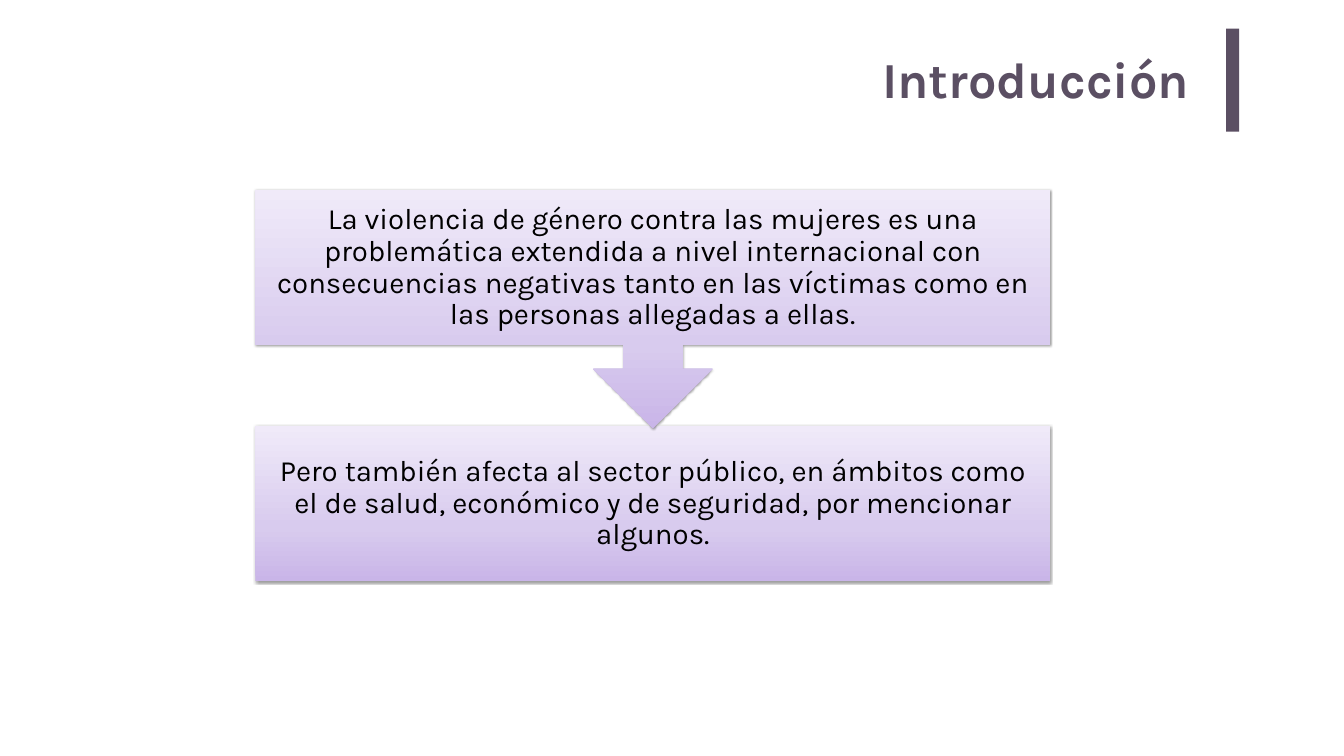
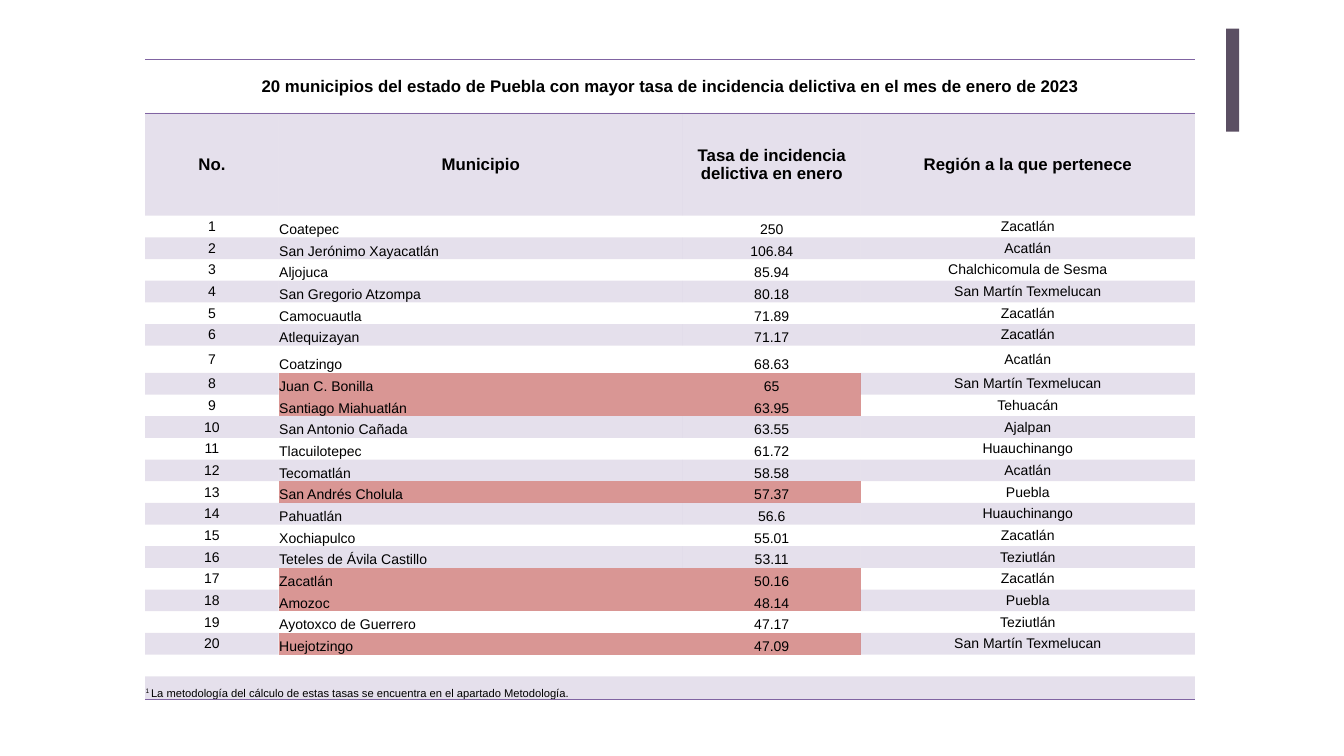
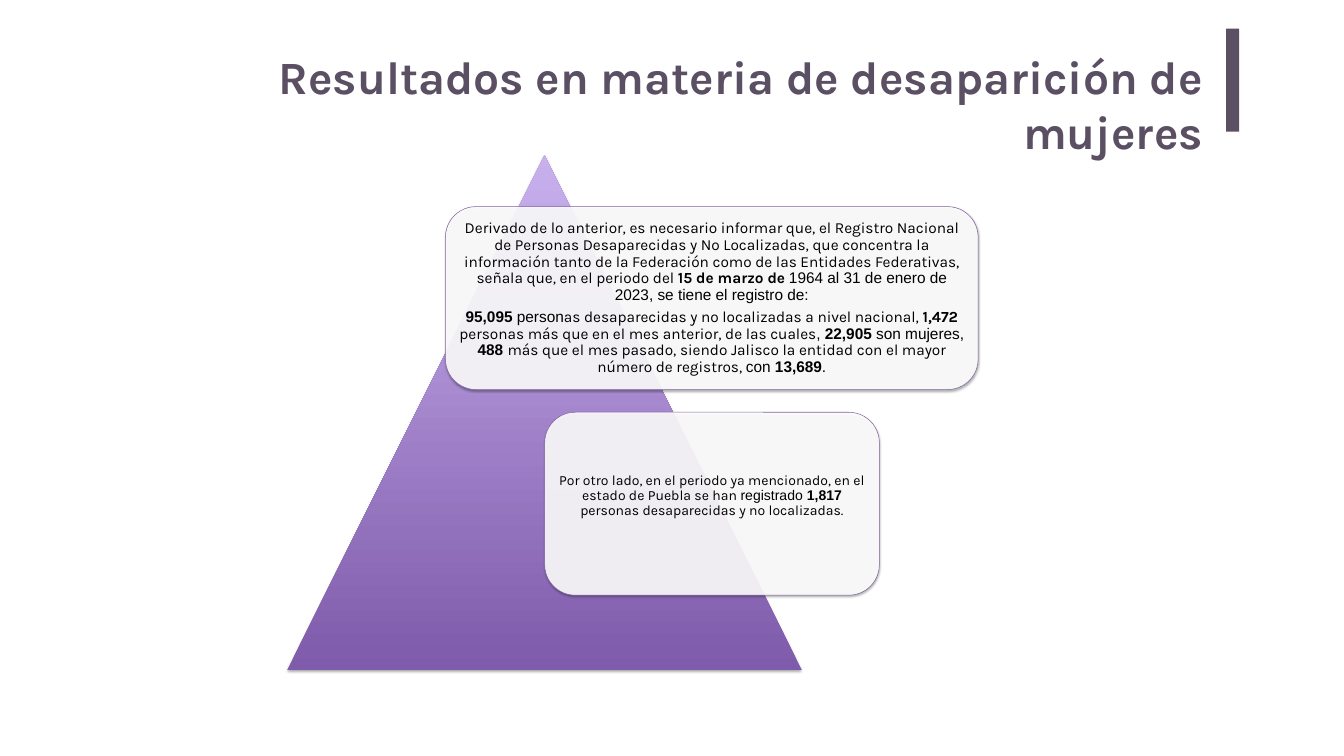
"""Build three slides on gender violence: introduction, municipal ranking and disappearances."""

from dataclasses import dataclass
from typing import Optional, Sequence

from lxml.etree import SubElement
from pptx import Presentation
from pptx.dml.color import RGBColor as Rgb
from pptx.enum.shapes import MSO_SHAPE as Preset
from pptx.enum.text import MSO_ANCHOR as Anchor, PP_ALIGN as Align
from pptx.oxml.ns import qn
from pptx.util import Inches, Pt

COLORS = {
    "plum": "5B4F63", "purple": "8064A2", "rose": "D99694", "white": "FFFFFF", "black": "000000",
    "lilac": "C9B5E8", "lavender": "D8CBEE", "mist": "F0EAF9", "violet": "7F5BAB", "orchid": "C8B0ED",
}
FLOW_STOPS = ((0, "lilac"), (35, "lavender"), (100, "mist"))
PYRAMID_STOPS = ((0, "violet"), (100, "orchid"))
PLAIN_TABLE = "{2D5ABB26-0587-4C30-8999-92F81FD0307C}"


@dataclass(frozen=True)
class Frame:
    left: float
    top: float
    width: float
    height: float

    def lengths(self) -> tuple:
        return tuple(Inches(v) for v in (self.left, self.top, self.width, self.height))


@dataclass(frozen=True)
class Span:
    text: str
    font: str = "Karla"
    bold: bool = False
    raised: bool = False


@dataclass(frozen=True)
class Style:
    size: float
    align: Align = Align.CENTER
    anchor: Anchor = Anchor.MIDDLE
    color: str = "black"
    spacing: Optional[float] = None


@dataclass(frozen=True)
class Card:
    frame: Frame
    size: float
    inset: float
    bottom: float
    paragraphs: tuple


@dataclass(frozen=True)
class Town:
    name: str
    rate: str
    region: str
    marked: bool = False


TITLE = Style(72, Align.RIGHT, Anchor.TOP, "plum")
ACCENT = Frame(24.33, 0.57, 0.26, 2.04)
FLOW_STYLE = Style(42, spacing=0.9)
FLOW_LEFT, FLOW_WIDTH, FLOW_HEIGHT = 5.07, 15.77, 3.08
FLOW_TOPS = (3.77, 8.45)
FLOW_TEXTS = (
    "La violencia de género contra las mujeres es una problemática extendida a nivel internacional "
    "con consecuencias negativas tanto en las víctimas como en las personas allegadas a ellas.",
    "Pero también afecta al sector público, en ámbitos como el de salud, económico y de seguridad, "
    "por mencionar algunos.",
)

COLUMNS = (2.65, 8.02, 3.53, 6.63)
HEADINGS = ("No.", "Municipio", "Tasa de incidencia delictiva en enero", "Región a la que pertenece")
TABLE_TITLE = "20 municipios del estado de Puebla con mayor tasa de incidencia delictiva en el mes de enero de 2023"
TOWNS = (
    Town("Coatepec", "250", "Zacatlán"),
    Town("San Jerónimo Xayacatlán", "106.84", "Acatlán"),
    Town("Aljojuca", "85.94", "Chalchicomula de Sesma"),
    Town("San Gregorio Atzompa", "80.18", "San Martín Texmelucan"),
    Town("Camocuautla", "71.89", "Zacatlán"),
    Town("Atlequizayan", "71.17", "Zacatlán"),
    Town("Coatzingo", "68.63", "Acatlán"),
    Town("Juan C. Bonilla", "65", "San Martín Texmelucan", True),
    Town("Santiago Miahuatlán", "63.95", "Tehuacán", True),
    Town("San Antonio Cañada", "63.55", "Ajalpan"),
    Town("Tlacuilotepec", "61.72", "Huauchinango"),
    Town("Tecomatlán", "58.58", "Acatlán"),
    Town("San Andrés Cholula", "57.37", "Puebla", True),
    Town("Pahuatlán", "56.6", "Huauchinango"),
    Town("Xochiapulco", "55.01", "Zacatlán"),
    Town("Teteles de Ávila Castillo", "53.11", "Teziutlán"),
    Town("Zacatlán", "50.16", "Zacatlán", True),
    Town("Amozoc", "48.14", "Puebla", True),
    Town("Ayotoxco de Guerrero", "47.17", "Teziutlán"),
    Town("Huejotzingo", "47.09", "San Martín Texmelucan", True),
)
FOOTNOTE = (
    Span("1 ", "Arial", raised=True),
    Span("La metodología del cálculo de estas tasas se encuentra en el apartado Metodología.", "Arial"),
)

CARDS = (
    Card(Frame(8.84, 4.1, 10.57, 3.63), 22, 0.09, 0.09, (
        (
            Span("Derivado de lo anterior, es necesario informar que, el Registro Nacional de Personas "
                 "Desaparecidas y No Localizadas, que concentra la información tanto de la Federación como "
                 "de las Entidades Federativas, señala que, en el periodo del "),
            Span("15 de marzo de ", bold=True),
            Span("1964 al 31 de enero de 2023, se tiene el registro de:", "Arial"),
        ),
        (
            Span("95,095", "Arial", True),
            Span(" person", "Arial"),
            Span("as desaparecidas y no localizadas a nivel nacional, "),
            Span("1,472", bold=True),
            Span(" personas más que en el mes anterior, de las cuales"),
            Span(", ", "Arial"),
            Span("22,905", "Arial", True),
            Span(" son mujeres, ", "Arial"),
            Span("488 ", "Arial", True),
            Span("más que el mes pasado, siendo Jalisco la entidad con el mayor número de registros, "),
            Span("con ", "Arial"),
            Span("13,689", "Arial", True),
            Span(".", "Arial"),
        ),
    )),
    Card(Frame(10.81, 8.18, 6.64, 3.63), 20, 0.08, 0.4, (
        (
            Span("Por otro lado, en el periodo ya mencionado, en el estado de Puebla se han "),
            Span("registrado ", "Arial"),
            Span("1,817 ", "Arial", True),
            Span("personas desaparecidas y no localizadas."),
        ),
    )),
)


def rgb(name: str) -> Rgb:
    return Rgb.from_string(COLORS[name])


def add_color(parent, name: str, alpha: Optional[int] = None) -> None:
    color = SubElement(parent, qn("a:srgbClr"), val=COLORS[name])
    if alpha is not None:
        SubElement(color, qn("a:alpha"), val=str(alpha * 1000))


def fill_solid(fill, element, name: str, alpha: Optional[int] = None) -> None:
    fill.solid()
    fill.fore_color.rgb = rgb(name)
    if alpha is not None:
        color = next(element.iter(qn("a:srgbClr")))
        SubElement(color, qn("a:alpha"), val=str(alpha * 1000))


def write(text_frame, paragraphs: Sequence[Sequence[Span]], style: Style) -> None:
    text_frame.word_wrap = True
    text_frame.vertical_anchor = style.anchor
    for index, spans in enumerate(paragraphs):
        para = text_frame.add_paragraph() if index else text_frame.paragraphs[0]
        para.alignment = style.align
        if style.spacing:
            para.line_spacing = style.spacing
            para.space_after = Pt(round(style.size * 0.35, 1))
        for span in spans:
            run = para.add_run()
            run.text = span.text
            run.font.name = span.font
            run.font.size = Pt(style.size)
            run.font.bold = span.bold
            run.font.color.rgb = rgb(style.color)
            if span.raised:
                run.font._element.set("baseline", "30000")


def add_text(page, frame: Frame, paragraphs, style: Style, side: float, top: float, bottom: float) -> None:
    box = page.shapes.add_textbox(*frame.lengths())
    text_frame = box.text_frame
    text_frame.margin_left = text_frame.margin_right = Inches(side)
    text_frame.margin_top, text_frame.margin_bottom = Inches(top), Inches(bottom)
    write(text_frame, paragraphs, style)


def add_figure(page, preset: Preset, frame: Frame):
    shape = page.shapes.add_shape(preset, *frame.lengths())
    shape.shadow.inherit = False
    shape.line.fill.background()
    return shape


def add_gradient(shape, stops: Sequence[tuple]) -> None:
    gradient = shape.element.spPr.makeelement(qn("a:gradFill"), {"rotWithShape": "0"})
    stop_list = SubElement(gradient, qn("a:gsLst"))
    for position, name in stops:
        add_color(SubElement(stop_list, qn("a:gs"), pos=str(position * 1000)), name)
    SubElement(gradient, qn("a:lin"), ang="16200000", scaled="0")
    shape.element.spPr.find(qn("a:prstGeom")).addnext(gradient)


def add_shadow(shape, alpha: int, distance: float) -> None:
    effects = shape.element.spPr.find(qn("a:effectLst"))
    shadow = SubElement(effects, qn("a:outerShdw"), blurRad=str(Pt(3.1)), dist=str(Pt(distance)),
                        dir="5400000", rotWithShape="0")
    add_color(shadow, "black", alpha)


def add_page(deck):
    page = deck.slides.add_slide(deck.slide_layouts[6])
    accent = add_figure(page, Preset.RECTANGLE, ACCENT)
    fill_solid(accent.fill, accent.element.spPr, "plum")
    return page


def add_title(page, frame: Frame, text: str, size: float) -> None:
    style = Style(size, TITLE.align, TITLE.anchor, TITLE.color)
    add_text(page, frame, [[Span(text, bold=True)]], style, 0.2, 0.1, 0.1)


def add_introduction(deck) -> None:
    page = add_page(deck)
    add_title(page, Frame(15.53, 0.86, 8.27, 1.46), "Introducción", 72)
    last = add_figure(page, Preset.RECTANGLE, Frame(FLOW_LEFT, FLOW_TOPS[1], FLOW_WIDTH, FLOW_HEIGHT))
    first = add_figure(page, Preset.UP_ARROW_CALLOUT, Frame(FLOW_LEFT, FLOW_TOPS[0], FLOW_WIDTH, 4.73))
    first.rotation = 180
    for shape in (last, first):
        add_gradient(shape, FLOW_STOPS)
        add_shadow(shape, 38, 1.6)
    for top, text in zip(FLOW_TOPS, FLOW_TEXTS):
        frame = Frame(FLOW_LEFT, top, FLOW_WIDTH, FLOW_HEIGHT)
        add_text(page, frame, [[Span(text)]], FLOW_STYLE, 0.33, 0.33, 0.33)


def fill_cell(cell, spans: Sequence[Span], style: Style, fill: Optional[str] = None) -> None:
    cell.margin_left = cell.margin_right = cell.margin_top = Inches(0.01)
    cell.margin_bottom = 0
    if fill:
        fill_solid(cell.fill, cell._tc.tcPr, fill, 20 if fill == "purple" else None)
    else:
        cell.fill.background()
    if spans:
        write(cell.text_frame, [spans], style)
        cell.vertical_anchor = style.anchor


def rule_row(table, row: int, sides: Sequence[str]) -> None:
    for column in range(len(COLUMNS)):
        properties = table.cell(row, column)._tc.get_or_add_tcPr()
        for index, side in enumerate(sides):
            line = properties.makeelement(qn(f"a:{side}"), {"w": str(Pt(1))})
            add_color(SubElement(line, qn("a:solidFill")), "purple")
            properties.insert(index, line)


def add_ranking(deck) -> None:
    page = add_page(deck)
    heights = [1.07, 2.04] + [0.54 if town.name == "Coatzingo" else 0.43 for town in TOWNS] + [0.43, 0.46]
    frame = Frame(2.88, 1.17, sum(COLUMNS), sum(heights))
    holder = page.shapes.add_table(len(heights), len(COLUMNS), *frame.lengths())
    next(holder.element.iter(qn("a:tableStyleId"))).text = PLAIN_TABLE
    table = holder.table
    table.first_row = table.horz_banding = False
    for column, width in zip(table.columns, COLUMNS):
        column.width = Inches(width)
    for row, height in zip(table.rows, heights):
        row.height = Inches(height)

    heading, middle = Style(24), Style(20)
    bottom = Style(20, anchor=Anchor.BOTTOM)
    name_style = Style(20, Align.LEFT, Anchor.BOTTOM)
    blank_row, note_row = len(heights) - 2, len(heights) - 1
    for row in (0, note_row):
        table.cell(row, 0).merge(table.cell(row, len(COLUMNS) - 1))
    fill_cell(table.cell(0, 0), [Span(TABLE_TITLE, "Arial", True)], heading)
    for column, text in enumerate(HEADINGS):
        fill_cell(table.cell(1, column), [Span(text, "Arial", True)], heading, "purple")
        fill_cell(table.cell(blank_row, column), [], middle, "white" if column in (1, 2) else None)
    for number, town in enumerate(TOWNS, 1):
        band = None if number % 2 else "purple"
        mark = "rose" if town.marked else band
        values = (str(number), town.name, town.rate, town.region)
        styles = (middle, name_style, bottom, middle)
        for column, (text, style, fill) in enumerate(zip(values, styles, (band, mark, mark, band))):
            fill_cell(table.cell(number + 1, column), [Span(text, "Arial")], style, fill)
    fill_cell(table.cell(note_row, 0), FOOTNOTE, Style(16, Align.LEFT, Anchor.BOTTOM), "purple")
    rule_row(table, 0, ("lnT", "lnB"))
    rule_row(table, note_row, ("lnB",))


def add_card(page, card: Card) -> None:
    shape = add_figure(page, Preset.ROUNDED_RECTANGLE, card.frame)
    fill_solid(shape.fill, shape.element.spPr, "white", 90)
    shape.line.color.rgb = rgb("purple")
    shape.line.width = Pt(0.75)
    add_shadow(shape, 35, 1.8)
    outer, pad = card.frame, 0.18
    inner = Frame(outer.left + pad, outer.top + pad, outer.width - 2 * pad, outer.height - 2 * pad)
    add_text(page, inner, card.paragraphs, Style(card.size, spacing=0.9), card.inset, card.inset, card.bottom)


def add_results(deck) -> None:
    page = add_page(deck)
    pyramid = add_figure(page, Preset.ISOSCELES_TRIANGLE, Frame(5.7, 3.08, 10.21, 10.21))
    add_gradient(pyramid, PYRAMID_STOPS)
    add_shadow(pyramid, 35, 1.8)
    for card in CARDS:
        add_card(page, card)
    add_title(page, Frame(2.59, 0.86, 21.48, 2.04), "Resultados en materia de desaparición de mujeres", 66)


def main() -> None:
    deck = Presentation()
    deck.slide_width, deck.slide_height = Inches(26.67), Inches(15)
    add_introduction(deck)
    add_ranking(deck)
    add_results(deck)
    deck.save("out.pptx")


if __name__ == "__main__":
    main()
